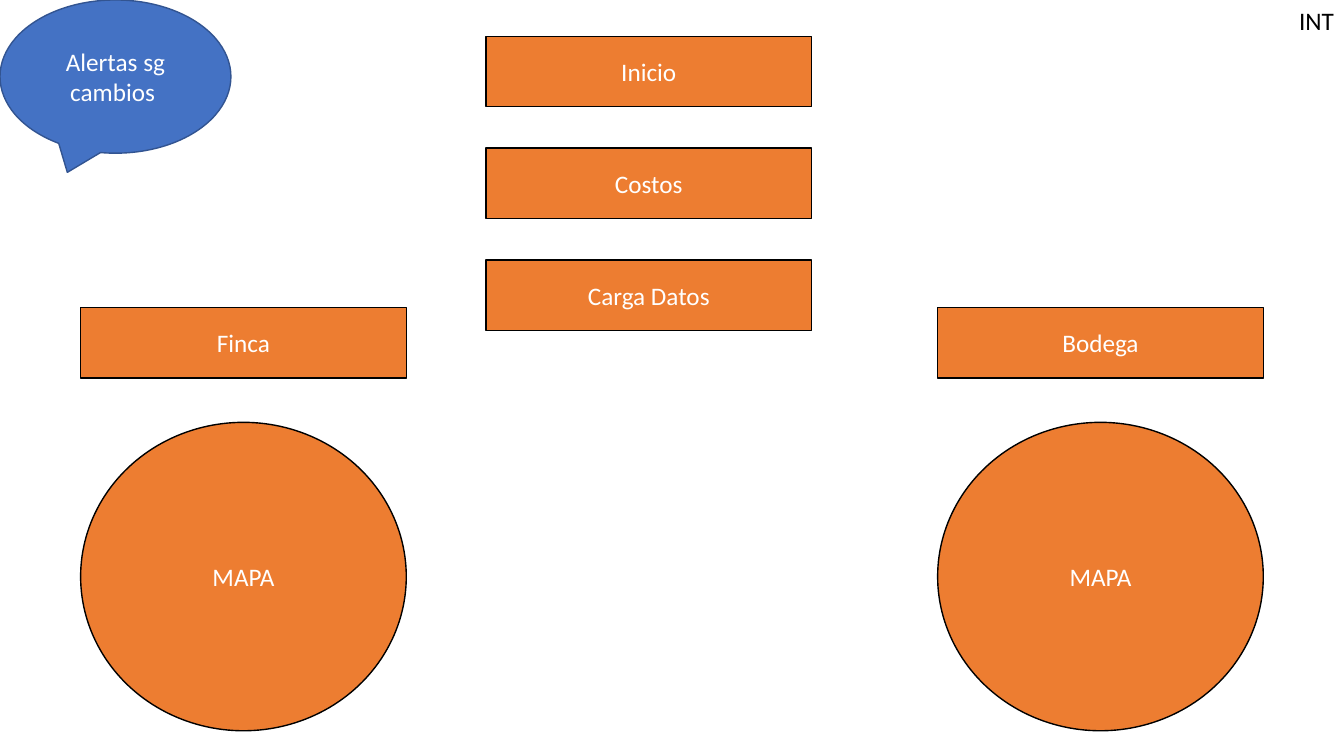
from pptx import Presentation
from pptx.dml.color import RGBColor
from pptx.enum.shapes import MSO_SHAPE as Preset
from pptx.enum.text import MSO_ANCHOR as Anchor, MSO_AUTO_SIZE as AutoSize, PP_ALIGN as Align
from pptx.util import Inches, Pt

ORANGE, BLUE, NAVY = "ED7D31", "4472C4", "325491"
BLACK, WHITE = "000000", "FFFFFF"
BUTTON_WIDTH, BUTTON_HEIGHT = 3.23, 0.7


def colour(hex_code):
    """Turn a hex string into a colour."""
    return RGBColor.from_string(hex_code)


def write(frame, wording, ink, align):
    """Write one run of text into a frame."""
    frame.word_wrap = True
    paragraph = frame.paragraphs[0]
    paragraph.alignment = align
    run = paragraph.add_run()
    run.text = wording
    run.font.name = "Calibri"
    run.font.size = Pt(18)
    run.font.color.rgb = colour(ink)


def add_label(slide, preset, box, wording, fill=ORANGE, outline=BLACK):
    """Add a filled shape with centred white text."""
    label = slide.shapes.add_shape(preset, *map(Inches, box))
    label.shadow.inherit = False
    label.fill.solid()
    label.fill.fore_color.rgb = colour(fill)
    label.line.color.rgb = colour(outline)
    label.line.width = Pt(1)
    label.text_frame.vertical_anchor = Anchor.MIDDLE
    write(label.text_frame, wording, WHITE, Align.CENTER)


def add_menu(slide, left, top, options, pitch=1.11):
    """Stack the menu buttons at an equal pitch."""
    for row, option in enumerate(options):
        box = (left, top + row * pitch, BUTTON_WIDTH, BUTTON_HEIGHT)
        add_label(slide, Preset.RECTANGLE, box, option)


def add_site(slide, left, top, site):
    """Place a site button with its round map below."""
    add_label(slide, Preset.RECTANGLE, (left, top, BUTTON_WIDTH, BUTTON_HEIGHT), site)
    add_label(slide, Preset.OVAL, (left, top + 1.14, BUTTON_WIDTH, 3.06), "MAPA")


def add_corner_tag(slide, box, wording):
    """Add the right-aligned tag in the corner."""
    tag = slide.shapes.add_textbox(*map(Inches, box))
    write(tag.text_frame, wording, BLACK, Align.RIGHT)
    tag.text_frame.auto_size = AutoSize.SHAPE_TO_FIT_TEXT


def main():
    """Build the navigation sketch and save it."""
    deck = Presentation()
    deck.slide_width, deck.slide_height = Inches(13.33), Inches(7.5)
    slide = deck.slides.add_slide(deck.slide_layouts[6])
    add_menu(slide, 4.82, 0.36, ("Inicio", "Costos", "Carga Datos"))
    for left, site in ((0.8, "Finca"), (9.3, "Bodega")):
        add_site(slide, left, 3.05, site)
    add_corner_tag(slide, (11.36, 0, 1.97, 0.4), "INT")
    add_label(slide, Preset.OVAL_CALLOUT, (0, 0, 2.29, 1.52), "Alertas sg cambios ", BLUE, NAVY)
    deck.save("out.pptx")


if __name__ == "__main__":
    main()
